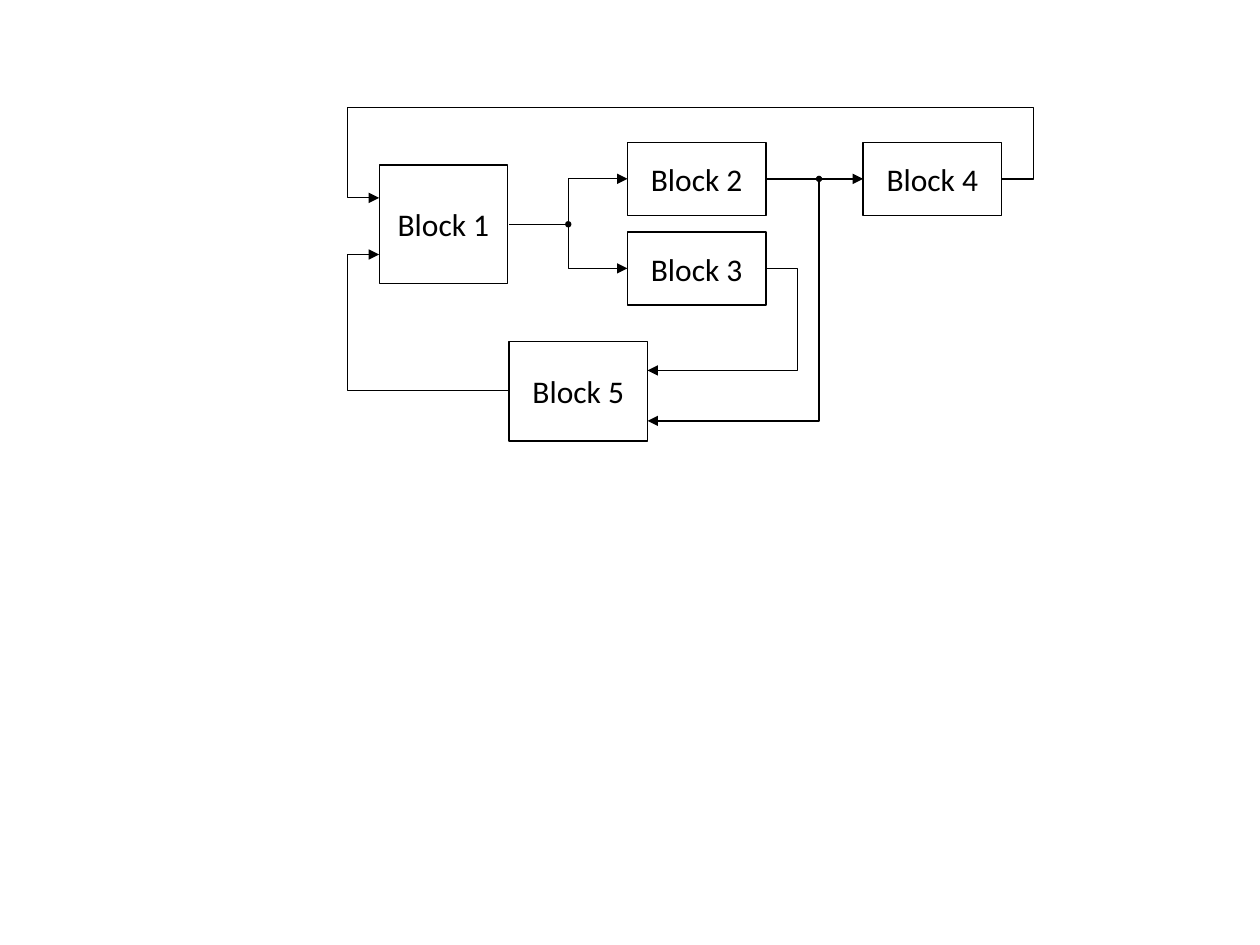
from lxml.etree import SubElement
from pptx import Presentation
from pptx.dml.color import RGBColor
from pptx.enum.shapes import MSO_CONNECTOR, MSO_SHAPE
from pptx.enum.text import MSO_ANCHOR, PP_ALIGN
from pptx.oxml.ns import qn
from pptx.util import Inches, Pt


def color(hex_text):
    """Turn a hex string into a colour."""
    return RGBColor.from_string(hex_text)


def apply(target, values):
    """Set every attribute in a dict of format values."""
    for name, value in values.items():
        setattr(target, name, value)


class Diagram:
    """Block diagram style and the slide it is drawn on."""

    INK = "000000"
    PAPER = "FFFFFF"
    STROKE = Pt(0.75)
    DOT = 0.05
    FONT = {"name": "Calibri", "size": Pt(18)}
    FRAME = {"word_wrap": True, "vertical_anchor": MSO_ANCHOR.MIDDLE}

    def __init__(self, slide):
        """Keep the current slide."""
        self.slide = slide

    def stroke(self, line):
        """Give a line the common colour and width."""
        line.color.rgb = color(self.INK)
        line.width = self.STROKE

    def filled(self, kind, box, fill):
        """Add a flat filled preset shape."""
        shape = self.slide.shapes.add_shape(kind, *map(Inches, box))
        shape.shadow.inherit = False
        shape.fill.solid()
        shape.fill.fore_color.rgb = color(fill)
        return shape

    def block(self, label, box):
        """Add an outlined block with a centred label."""
        block = self.filled(MSO_SHAPE.RECTANGLE, box, self.PAPER)
        self.stroke(block.line)
        apply(block.text_frame, self.FRAME)
        paragraph = block.text_frame.paragraphs[0]
        paragraph.alignment = PP_ALIGN.CENTER
        run = paragraph.add_run()
        run.text = label
        apply(run.font, self.FONT)
        run.font.color.rgb = color(self.INK)

    def junction(self, x, y):
        """Add a dot centred on a branching point."""
        half = self.DOT / 2
        box = (x - half, y - half, self.DOT, self.DOT)
        self.filled(MSO_SHAPE.OVAL, box, self.INK).line.fill.background()

    def arrow(self, start, end, *bends):
        """Add an arrow; bends are the x, y, x... of its middle segments."""
        kind = MSO_CONNECTOR.ELBOW if bends else MSO_CONNECTOR.STRAIGHT
        arrow = self.slide.shapes.add_connector(
            kind, *map(Inches, (*start, *end)))
        self.stroke(arrow.line)
        properties = arrow._element.spPr
        SubElement(properties.find(qn("a:ln")), qn("a:tailEnd"), type="triangle")
        SubElement(properties, qn("a:effectLst"))
        if bends:
            geometry = properties.find(qn("a:prstGeom"))
            geometry.set("prst", f"bentConnector{len(bends) + 2}")
            guides = geometry.find(qn("a:avLst"))
            for index, bend in enumerate(bends):
                axis = index % 2
                share = (bend - start[axis]) / (end[axis] - start[axis])
                SubElement(guides, qn("a:gd"), name=f"adj{index + 1}",
                           fmla=f"val {round(share * 100000)}")


presentation = Presentation()
presentation.slide_width = Inches(10)
presentation.slide_height = Inches(7.5)
diagram = Diagram(presentation.slides.add_slide(presentation.slide_layouts[6]))

WIDTH, HEIGHT = 1.1, 0.58
INPUT_X, BRANCH_X, MIDDLE_X, LAST_X = 3.01, 4.04, 4.98, 6.85
MIDDLE_END, LAST_END, RETURN_END = (
    x + WIDTH for x in (MIDDLE_X, LAST_X, BRANCH_X))
UPPER_Y, LOWER_Y, OUTPUT_Y = 1.42, 2.13, 1.78
LOOP_X, SPLIT_X, TAP_X = 2.76, 4.51, 6.5

blocks = {
    "Block 1": (INPUT_X, 1.31, 1.02, 0.94),
    "Block 2": (MIDDLE_X, UPPER_Y - HEIGHT / 2, WIDTH, HEIGHT),
    "Block 3": (MIDDLE_X, LOWER_Y - HEIGHT / 2, WIDTH, HEIGHT),
    "Block 4": (LAST_X, UPPER_Y - HEIGHT / 2, WIDTH, HEIGHT),
    "Block 5": (BRANCH_X, 2.71, WIDTH, 0.79),
}
for label, box in blocks.items():
    diagram.block(label, box)

routes = [
    ((BRANCH_X, OUTPUT_Y), (MIDDLE_X, UPPER_Y), SPLIT_X),
    ((BRANCH_X, OUTPUT_Y), (MIDDLE_X, LOWER_Y), SPLIT_X),
    ((MIDDLE_END, UPPER_Y), (LAST_X, UPPER_Y)),
    ((MIDDLE_END, UPPER_Y), (RETURN_END, 3.34), TAP_X),
    ((MIDDLE_END, LOWER_Y), (RETURN_END, 2.94), 6.33),
    ((BRANCH_X, 3.1), (INPUT_X, 2.02), LOOP_X),
    ((LAST_END, UPPER_Y), (INPUT_X, 1.57), 8.2, 0.85, LOOP_X),
]
for route in routes:
    diagram.arrow(*route)

for point in ((SPLIT_X, OUTPUT_Y), (TAP_X, UPPER_Y)):
    diagram.junction(*point)

presentation.save("out.pptx")
